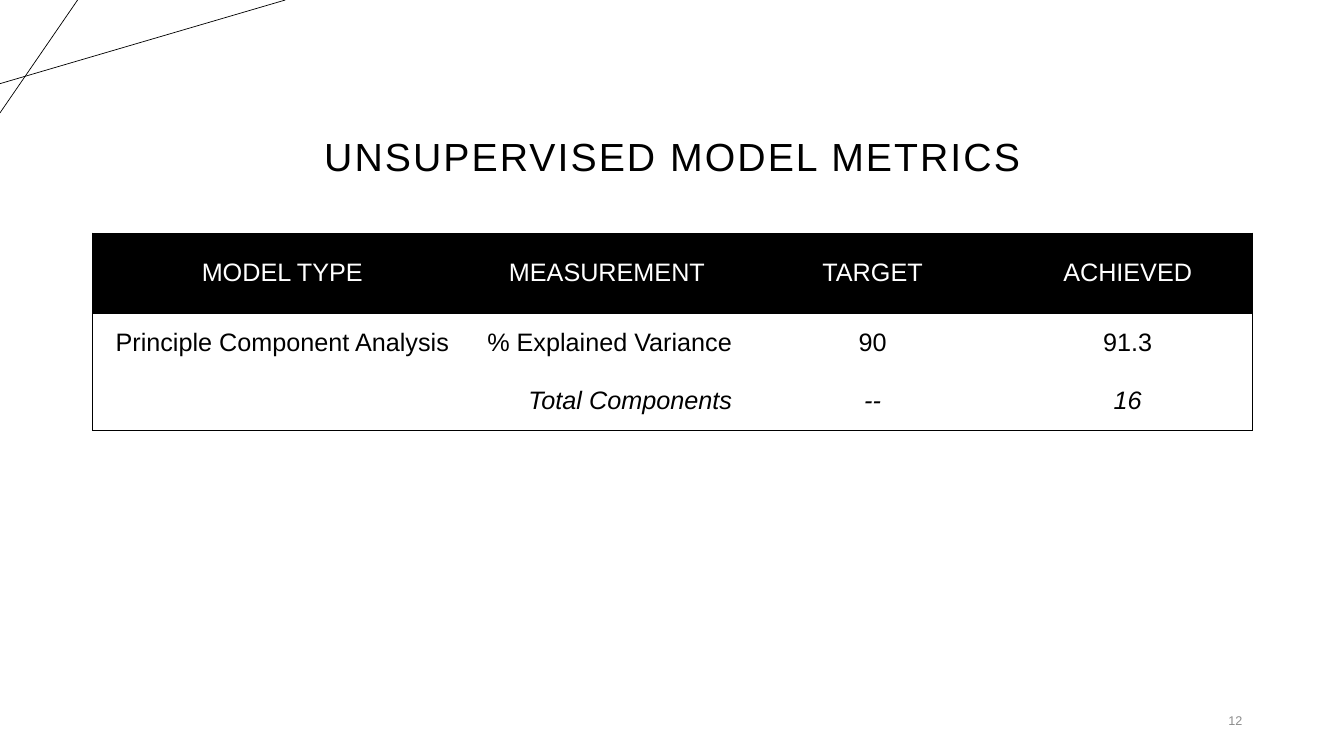
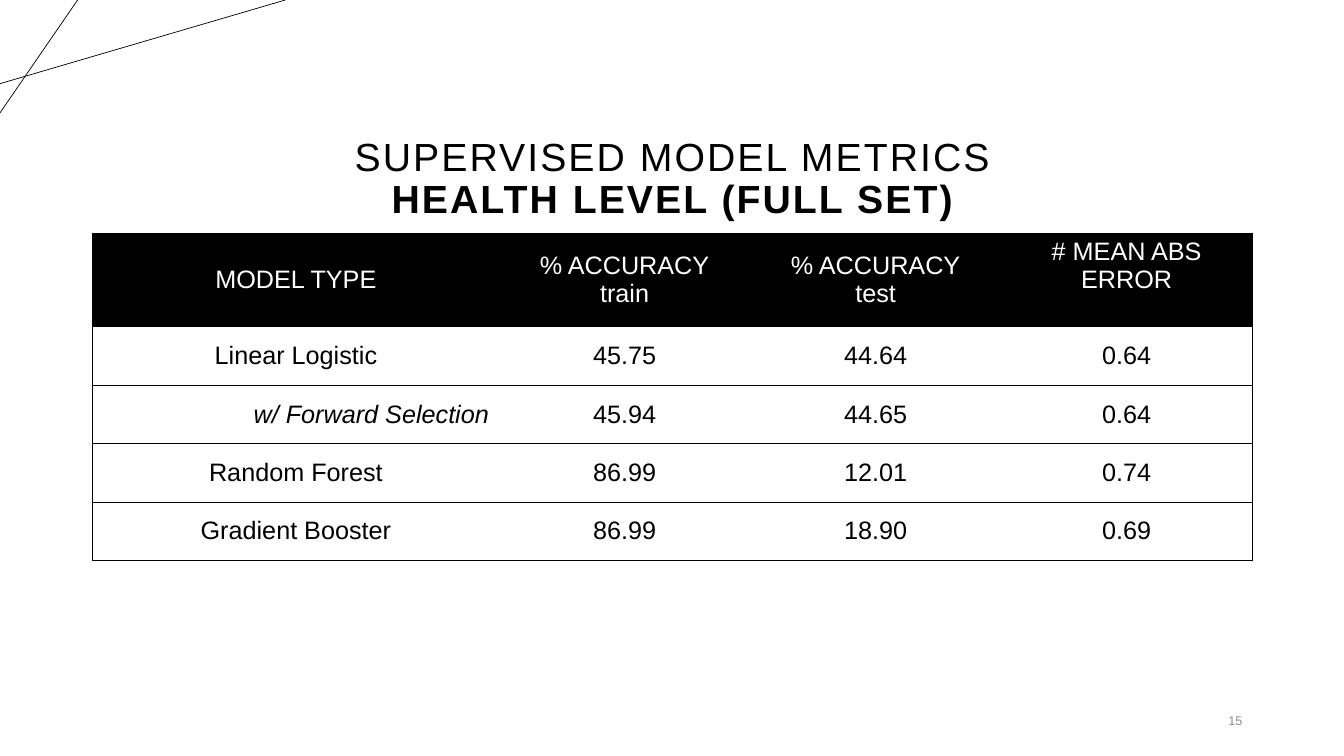
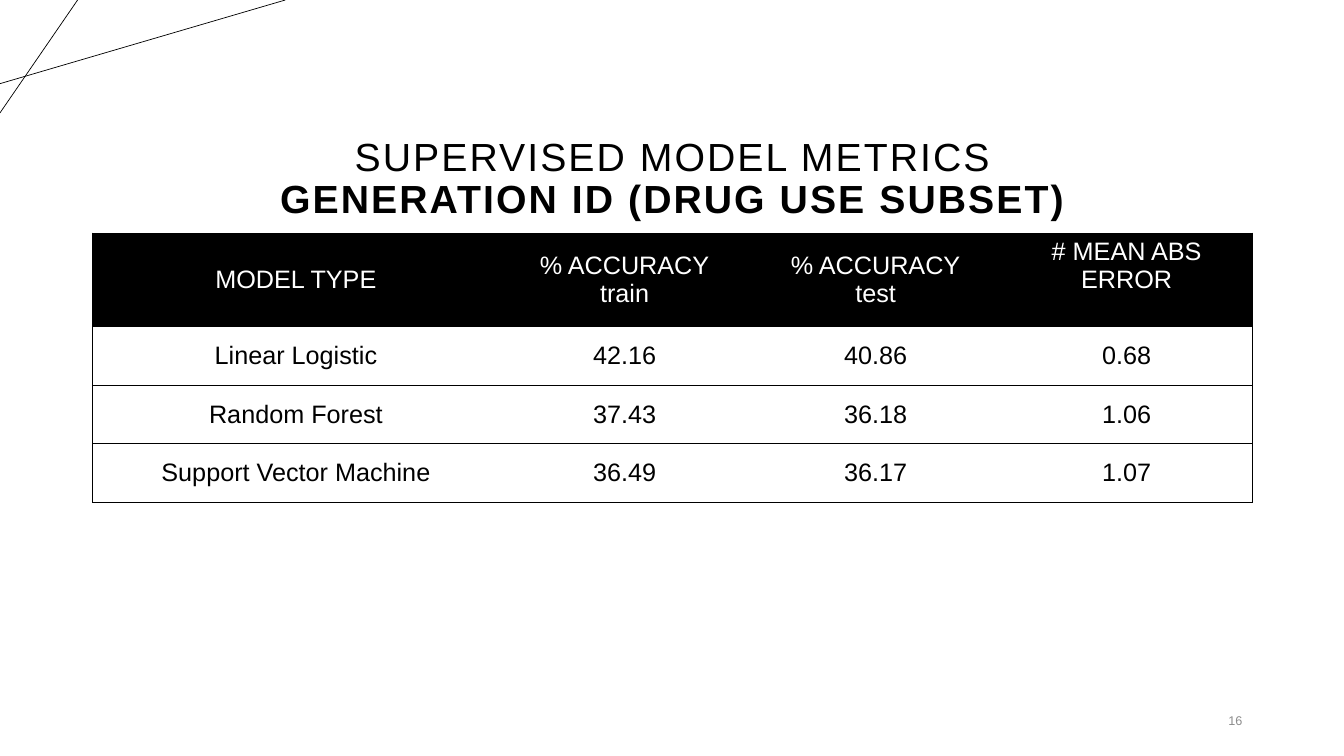
from lxml.etree import SubElement as Sub
from pptx import Presentation
from pptx.dml.color import RGBColor as RGB
from pptx.enum.shapes import MSO_CONNECTOR as Link
from pptx.enum.text import MSO_ANCHOR as Anchor, MSO_AUTO_SIZE as Size, PP_ALIGN as Align
from pptx.oxml.ns import qn
from pptx.util import Inches, Pt

HUE = {"ink": "000000", "page": "FFFFFF", "mute": "8C8C8C"}
LEFT, WIDE = 0.92, 11.5
LINES = [(0, 0.83, 2.83, 0), (0.77, 0, 0, 1.12)]
HEAD = ["MODEL TYPE", "% ACCURACY\vtrain", "% ACCURACY\vtest", "# MEAN ABS ERROR"]
COLS = [4.03, 2.49, 2.49, 2.49]

DECK = [
    {
        "page": 12,
        "title": "UNSUPERVISED MODEL METRICS",
        "cols": [3.76, 2.68, 2.59, 2.47],
        "top": 0.8,
        "ruled": False,
        "right": {(1, 1), (2, 1)},
        "slant": {(2, 1), (2, 2), (2, 3)},
        "rows": [
            ["MODEL TYPE", "MEASUREMENT", "TARGET", "ACHIEVED"],
            ["Principle Component Analysis", "% Explained Variance", "90", "91.3"],
            ["", "Total Components", "--", "16"],
        ],
    },
    {
        "page": 15,
        "title": "SUPERVISED MODEL METRICS",
        "sub": "HEALTH LEVEL (FULL SET)",
        "cols": COLS,
        "top": 0.93,
        "ruled": True,
        "right": {(2, 0)},
        "slant": {(2, 0)},
        "rows": [
            HEAD,
            ["Linear Logistic", "45.75", "44.64", "0.64"],
            ["w/ Forward Selection", "45.94", "44.65", "0.64"],
            ["Random Forest", "86.99", "12.01", "0.74"],
            ["Gradient Booster", "86.99", "18.90", "0.69"],
        ],
    },
    {
        "page": 16,
        "title": "SUPERVISED MODEL METRICS",
        "sub": "GENERATION ID (DRUG USE SUBSET)",
        "cols": COLS,
        "top": 0.93,
        "ruled": True,
        "right": set(),
        "slant": set(),
        "rows": [
            HEAD,
            ["Linear Logistic", "42.16", "40.86", "0.68"],
            ["Random Forest", "37.43", "36.18", "1.06"],
            ["Support Vector Machine", "36.49", "36.17", "1.07"],
        ],
    },
]


def write(frame, text, size, hue, align=Align.CENTER, bold=False, slant=False):
    para = frame.paragraphs[0]
    para.text = text
    para.alignment = align
    font = para.font
    font.name, font.size = "Arial", Pt(size)
    font.bold, font.italic = bold, slant
    font.color.rgb = RGB.from_string(HUE[hue])
    return para


def label(box, place, text, size, hue, anchor, align=Align.CENTER, bold=False):
    box.left, box.top, box.width, box.height = map(Inches, place)
    frame = box.text_frame
    frame.word_wrap = True
    frame.auto_size = Size.NONE
    frame.vertical_anchor = anchor
    return write(frame, text, size, hue, align, bold)


prs = Presentation()
prs.slide_width, prs.slide_height = Inches(13.33), Inches(7.5)

for info in DECK:
    slide = prs.slides.add_slide(prs.slide_layouts[5])
    shapes = slide.shapes

    for ends in LINES:
        line = shapes.add_connector(Link.STRAIGHT, *map(Inches, ends))
        line.line.width = Pt(0.5)
        line.line.color.rgb = RGB.from_string(HUE["ink"])
        Sub(line._element.spPr, qn("a:effectLst"))

    heads = [(shapes.title, 0.39, info["title"], False)]
    if "sub" in info:
        heads.append((shapes.add_textbox(0, 0, 0, 0), 0.8, info["sub"], True))
    for box, top, text, bold in heads:
        para = label(box, (LEFT, top, WIDE, 1.45), text, 28, "ink", Anchor.BOTTOM, bold=bold)
        para.line_spacing = 0.9
        para._p.pPr.get_or_add_defRPr().set("spc", "150")

    rows, cols = info["rows"], info["cols"]
    highs = [info["top"]] + [0.58] * (len(rows) - 1)
    place = map(Inches, (LEFT, 2.31, WIDE, sum(highs)))
    table = shapes.add_table(len(rows), len(cols), *place).table
    table.first_row = table.horz_banding = False
    for col, wide in zip(table.columns, cols):
        col.width = Inches(wide)
    for row, high in zip(table.rows, highs):
        row.height = Inches(high)

    for r, row in enumerate(rows):
        for c, text in enumerate(row):
            cell = table.cell(r, c)
            edges = {
                "lnL": c == 0,
                "lnR": c == len(cols) - 1,
                "lnT": r < 2 or info["ruled"],
                "lnB": r in (0, len(rows) - 1) or info["ruled"],
            }
            props = cell._tc.get_or_add_tcPr()
            for side, shown in edges.items():
                edge = Sub(props, qn("a:" + side), w=str(Pt(0.5)))
                if shown:
                    Sub(Sub(edge, qn("a:solidFill")), qn("a:srgbClr"), val=HUE["ink"])
                else:
                    Sub(edge, qn("a:noFill"))
            cell.fill.solid()
            cell.fill.fore_color.rgb = RGB.from_string(HUE["page" if r else "ink"])
            cell.vertical_anchor = Anchor.TOP if text == HEAD[3] else Anchor.MIDDLE
            if text:
                align = Align.RIGHT if (r, c) in info["right"] else Align.CENTER
                hue = "ink" if r else "page"
                write(cell.text_frame, text, 18, hue, align, slant=(r, c) in info["slant"])

    label(shapes.add_textbox(0, 0, 0, 0), (11.34, 6.95, 1.08, 0.4), str(info["page"]),
          9, "mute", Anchor.MIDDLE, Align.RIGHT)

prs.save("out.pptx")
